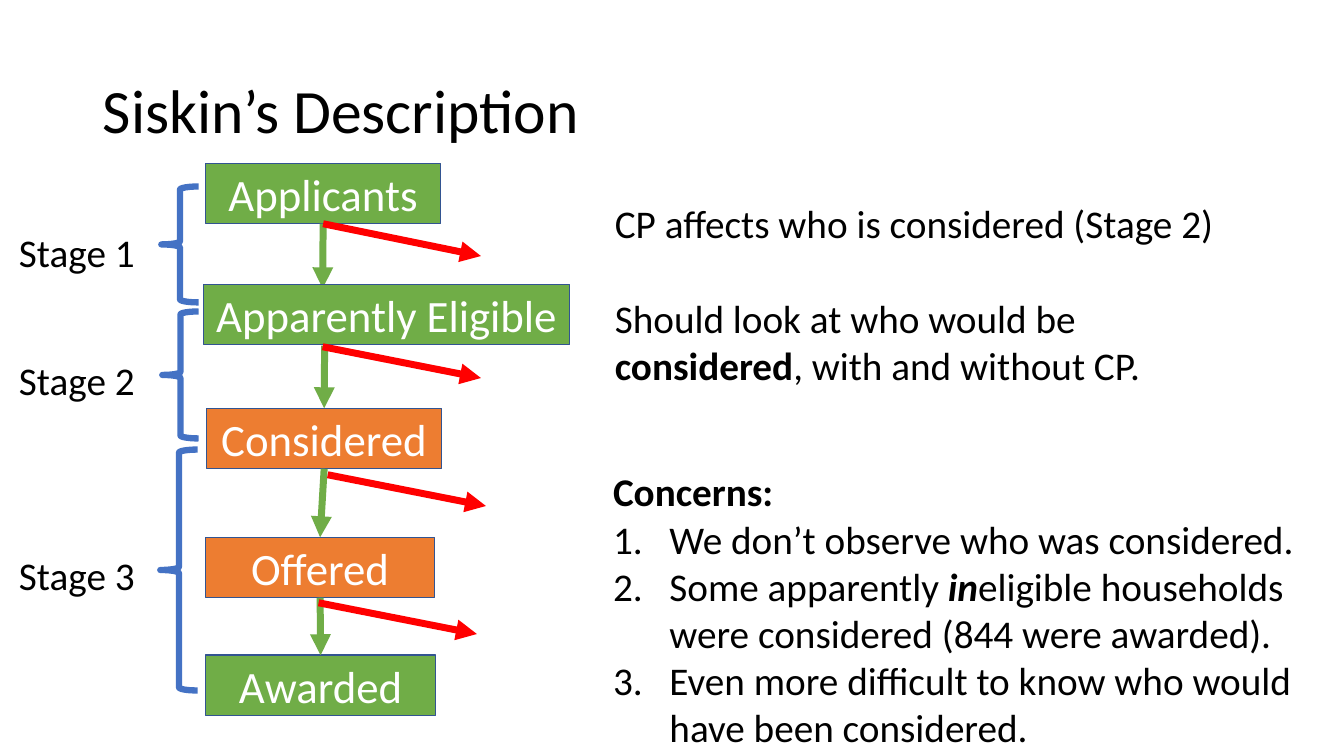
import pptx
import pptx.util
import pptx.dml.color
import pptx.enum.shapes
import pptx.enum.text
import pptx.oxml.ns
import lxml.etree

Inches = pptx.util.Inches
SHAPE = pptx.enum.shapes.MSO_SHAPE
ALIGN = pptx.enum.text.PP_ALIGN
ANCHOR = pptx.enum.text.MSO_ANCHOR
AUTO_SIZE = pptx.enum.text.MSO_AUTO_SIZE
BOTTOM, TOP = 2, 0

COLORS = {
    "text": "000000",
    "light": "FFFFFF",
    "green": "70AD47",
    "orange": "ED7D31",
    "red": "FF0000",
    "outline": "325491",
    "brace": "4472C4",
}


def rgb(name):
    return pptx.dml.color.RGBColor.from_string(COLORS[name])


def add_child(parent, tag, **attributes):
    child = lxml.etree.SubElement(parent, pptx.oxml.ns.qn(tag))
    for key, value in attributes.items():
        child.set(key, value)
    return child


def add_text(para, text, size=28, color="text", bold=False, italic=False, font="Calibri"):
    span = para.add_run()
    span.text = text
    span.font.name = font
    span.font.size = pptx.util.Pt(size)
    span.font.bold = bold
    span.font.italic = italic
    span.font.color.rgb = rgb(color)
    return span


class SlideBuilder:
    """Holds the style and the current slide."""

    line_width = 5
    brace_width = 4.5

    def __init__(self, page):
        self.page = page

    def place(self, item, left, top, width, height):
        item.left, item.top = Inches(left), Inches(top)
        item.width, item.height = Inches(width), Inches(height)

    def title(self, text, *bounds):
        title = self.page.shapes.title
        self.place(title, *bounds)
        frame = title.text_frame
        frame.vertical_anchor = ANCHOR.MIDDLE
        para = frame.paragraphs[0]
        para.alignment = ALIGN.LEFT
        para.line_spacing = 0.9
        add_text(para, text, size=44)

    def numbered_list(self, heading, items, *bounds):
        body = self.page.placeholders[1]
        self.place(body, *bounds)
        frame = body.text_frame
        frame.auto_size = AUTO_SIZE.NONE
        for index, spans in enumerate([[(heading, {"bold": True})]] + items):
            para = frame.add_paragraph() if index else frame.paragraphs[0]
            para.space_before = pptx.util.Pt(0)
            properties = para._p.get_or_add_pPr()
            indent = Inches(0.56) if index else 0
            properties.set("marL", str(indent))
            properties.set("indent", str(-indent))
            if index:
                add_child(properties, "a:buFont", typeface="+mj-lt")
                add_child(properties, "a:buAutoNum", type="arabicPeriod")
            else:
                add_child(properties, "a:buNone")
            for text, style in spans:
                add_text(para, text, **style)

    def text_box(self, paragraphs, *bounds, wrap=True, gap=0):
        box = self.page.shapes.add_textbox(*map(Inches, bounds))
        frame = box.text_frame
        frame.word_wrap = wrap
        frame.auto_size = AUTO_SIZE.SHAPE_TO_FIT_TEXT
        for index, spans in enumerate(paragraphs):
            para = frame.add_paragraph() if index else frame.paragraphs[0]
            if index:
                para.space_before = pptx.util.Pt(gap)
            for text, style in spans:
                add_text(para, text, **style)

    def step(self, text, color, left, top, width):
        box = self.page.shapes.add_shape(
            SHAPE.RECTANGLE, Inches(left), Inches(top), Inches(width), Inches(0.6))
        box.shadow.inherit = False
        box.fill.solid()
        box.fill.fore_color.rgb = rgb(color)
        box.line.color.rgb = rgb("outline")
        box.line.width = pptx.util.Pt(1)
        box.text_frame.word_wrap = True
        box.text_frame.vertical_anchor = ANCHOR.MIDDLE
        para = box.text_frame.paragraphs[0]
        para.alignment = ALIGN.CENTER
        add_text(para, text, size=32, color="light")
        return box

    def brace(self, *bounds):
        brace = self.page.shapes.add_shape(SHAPE.LEFT_BRACE, *map(Inches, bounds))
        brace.shadow.inherit = False
        brace.fill.background()
        brace.line.color.rgb = rgb("brace")
        brace.line.width = pptx.util.Pt(self.brace_width)

    def arrow(self, color, start, end, source=None, target=None):
        arrow = self.page.shapes.add_connector(
            pptx.enum.shapes.MSO_CONNECTOR.STRAIGHT, *map(Inches, start + end))
        if source is not None:
            arrow.begin_connect(source, BOTTOM)
        if target is not None:
            arrow.end_connect(target, TOP)
        arrow.line.color.rgb = rgb(color)
        arrow.line.width = pptx.util.Pt(self.line_width)
        add_child(arrow.line._get_or_add_ln(), "a:tailEnd", type="triangle")
        add_child(arrow._element.spPr, "a:effectLst")


def main():
    deck = pptx.Presentation()
    deck.slide_width, deck.slide_height = Inches(13.33), Inches(7.5)
    builder = SlideBuilder(deck.slides.add_slide(deck.slide_layouts[1]))

    # Title and list of concerns
    builder.title("Siskin’s Description", 0.92, 0.4, 11.5, 1.45)
    builder.numbered_list("Concerns:", [
        [("We don’t observe who was considered.", {})],
        [("Some apparently ", {}),
         ("in", {"bold": True, "italic": True}),
         ("eligible households were considered (844 were awarded).", {})],
        [("Even more difficult to know who would have been considered.", {})],
    ], 5.98, 4.59, 7.24, 2.93)

    # Steps, with the first arrow tucked behind the second step
    applicants = builder.step("Applicants", "green", 2.04, 1.62, 2.33)
    considered = builder.step("Considered", "orange", 2.05, 4.05, 2.33)
    offered = builder.step("Offered", "orange", 2.04, 5.33, 2.27)
    awarded = builder.step("Awarded", "green", 2.04, 6.5, 2.28)
    builder.arrow("green", (3.2, 2.23), (3.2, 2.86), source=applicants)
    builder.step("Apparently Eligible", "green", 2.02, 2.82, 3.63)

    # Arrows to the next step
    builder.arrow("green", (3.22, 3.43), (3.19, 4.06), target=considered)
    builder.arrow("green", (3.22, 4.65), (3.17, 5.33), considered, offered)
    builder.arrow("green", (3.17, 5.94), (3.14, 6.49), offered, awarded)

    # Arrows out of the process
    exits = [(3.2, 2.23, applicants), (3.2, 3.44, None),
             (3.25, 4.71, None), (3.16, 5.98, None)]
    for left, top, source in exits:
        builder.arrow("red", (left, top), (left + 1.57, top + 0.31), source)

    # Stage labels and braces
    stages = [(2.22, (1.6, 1.85, 0.37, 1.15)),
              (3.49, (1.61, 3.09, 0.36, 1.26)),
              (5.42, (1.59, 4.46, 0.37, 2.39))]
    for number, (label_top, brace_bounds) in enumerate(stages, start=1):
        builder.text_box([[(f"Stage {number}", {})]],
                         0.09, label_top, 1.36, 0.57, wrap=False)
        builder.brace(*brace_bounds)

    # Remarks
    builder.text_box([
        [("CP affects who is considered (Stage 2)", {})],
        [("Should look at who would be ", {}),
         ("considered", {"bold": True}),
         (", with and without CP.", {})],
    ], 6, 1.93, 6.53, 1.99, gap=34)

    deck.save("out.pptx")


if __name__ == "__main__":
    main()
